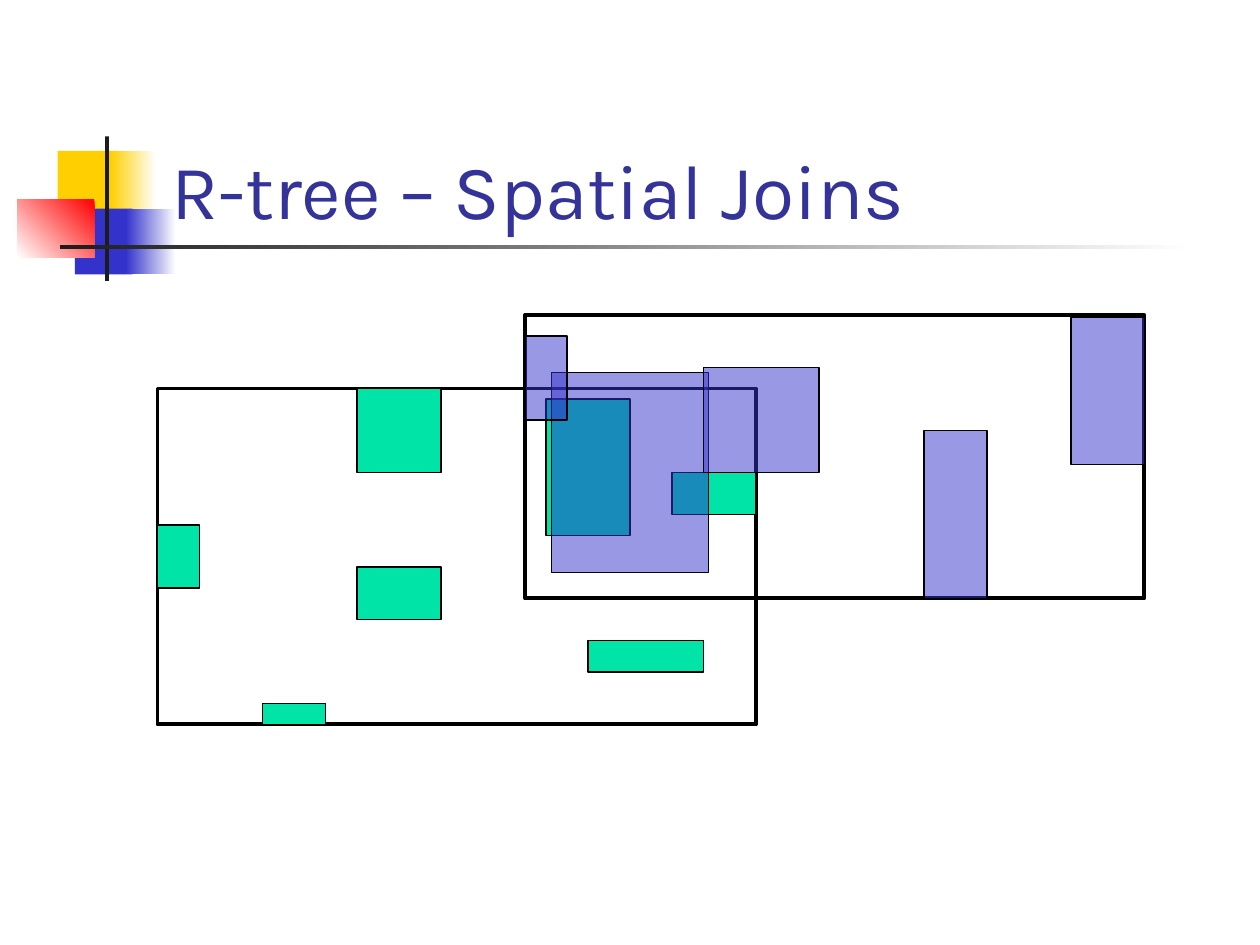
from lxml.etree import SubElement as Sub
from pptx import Presentation
from pptx.dml.color import RGBColor as RGB
from pptx.enum.shapes import MSO_SHAPE as Kind
from pptx.enum.text import MSO_ANCHOR as Anchor
from pptx.oxml.ns import qn
from pptx.util import Pt
from dataclasses import dataclass

PX = 9525


@dataclass
class Theme:
    gold: str = "FFCF01"
    blue: str = "3333CC"
    red: str = "FF0000"
    dark: str = "1C1C1C"
    white: str = "FFFFFF"
    black: str = "000000"
    green: str = "00E4A8"
    title: str = "333399"
    font: str = "Karla"
    size: float = 44
    thick: float = 2.25
    thin: float = 0.75


look = Theme()
deck = Presentation()
deck.slide_width, deck.slide_height = 960 * PX, 720 * PX
slide = deck.slides.add_slide(deck.slide_layouts[6])


def rect(spot, fill=None, line=None, alpha=None):
    box = slide.shapes.add_shape(Kind.RECTANGLE, *[n * PX for n in spot])
    box.shadow.inherit = False
    if fill:
        box.fill.solid()
        box.fill.fore_color.rgb = RGB.from_string(fill)
    else:
        box.fill.background()
    if alpha:
        tint = box.fill._xPr.find(".//" + qn("a:srgbClr"))
        Sub(tint, qn("a:alpha"), val=str(alpha * 1000))
    if line:
        box.line.color.rgb = RGB.from_string(look.black)
        box.line.width = Pt(line)
    else:
        box.line.fill.background()
    return box


def fade(spot, start, end, angle=180):
    box = rect(spot)
    box.fill.gradient()
    box.fill.gradient_angle = angle
    for stop, tone, place in zip(box.fill.gradient_stops, (start, end), (0, 1)):
        stop.color.rgb = RGB.from_string(tone)
        stop.position = place


rect((44, 115, 46, 50), look.gold)
fade((84, 115, 35, 50), look.white, look.gold)
rect((57, 159, 44, 50), look.blue)
fade((96, 159, 38, 50), look.white, look.blue)
fade((13, 152, 59, 44), look.red, look.white, 225)
rect((80, 104, 3, 110), look.dark)
fade((46, 187, 864, 3), look.white, look.dark)

head = slide.shapes.add_textbox(121 * PX, 64 * PX, 818 * PX, 120 * PX)
frame = head.text_frame
frame.word_wrap = True
frame.vertical_anchor = Anchor.BOTTOM
run = frame.paragraphs[0].add_run()
run.text = "R-tree – Spatial Joins"
run.font.name = look.font
run.font.size = Pt(look.size)
run.font.color.rgb = RGB.from_string(look.title)

nodes = [(120, 296, 456, 256), (400, 240, 472, 216)]
greens = [
    (120, 400, 32, 48),
    (272, 296, 64, 64),
    (272, 432, 64, 40),
    (200, 536, 48, 16),
    (448, 488, 88, 24),
    (512, 360, 64, 32),
    (416, 304, 64, 104),
]
blues = [
    (420, 284, 120, 152),
    (536, 280, 88, 80),
    (816, 242, 56, 112),
    (704, 328, 48, 128),
    (400, 256, 32, 64),
]
for spot in nodes:
    rect(spot, line=look.thick)
for spot in greens:
    rect(spot, look.green, look.thin)
for spot in blues:
    rect(spot, look.blue, look.thin, 50)

deck.save("out.pptx")
